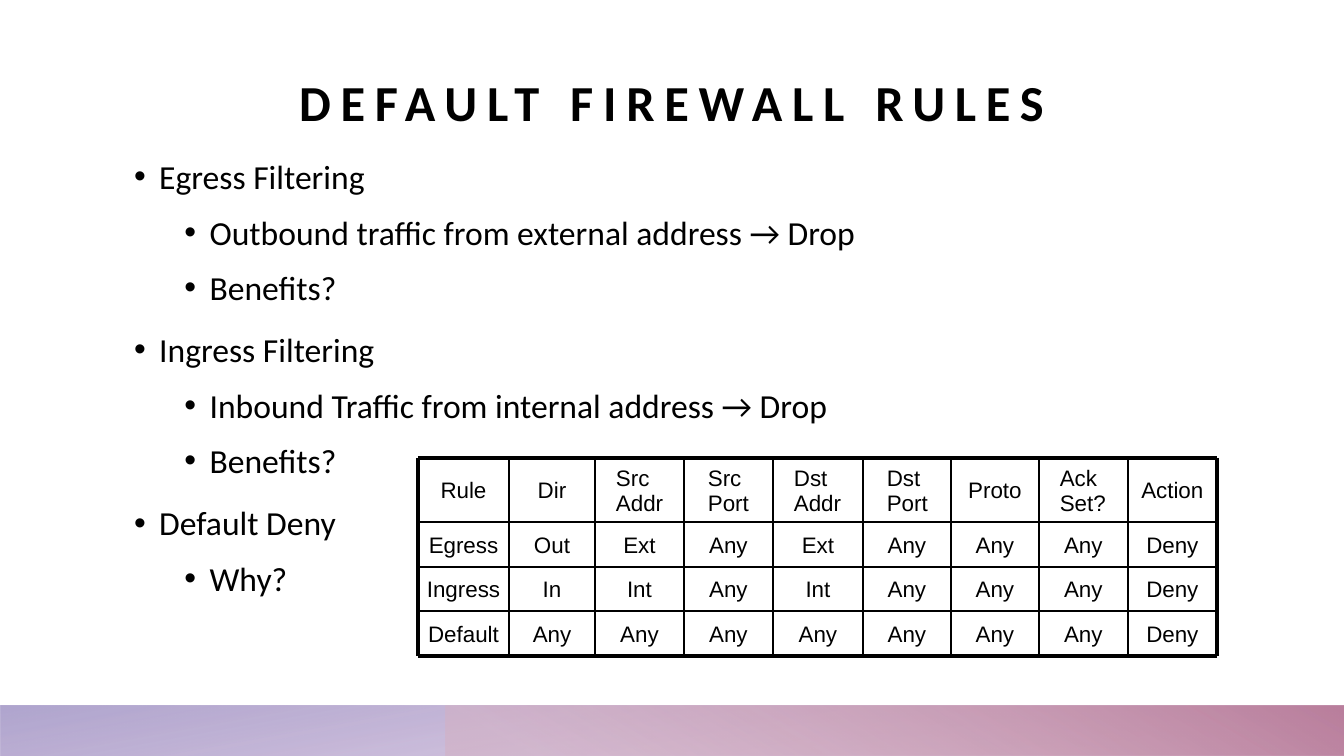
"""Build the slide on default firewall rules."""
from itertools import accumulate

from pptx import Presentation
from pptx.dml.color import RGBColor
from pptx.enum.shapes import MSO_CONNECTOR as Connector, MSO_SHAPE as Shape
from pptx.enum.text import MSO_ANCHOR as Anchor, PP_ALIGN as Align
from pptx.oxml.ns import qn
from pptx.util import Emu, Inches, Pt
from lxml.etree import SubElement

BLACK = RGBColor(0x00, 0x00, 0x00)
VIOLET = RGBColor(0xA6, 0x7F, 0xBA)
LAVENDER = RGBColor(0xA2, 0x96, 0xC6)
PINK = RGBColor(0xD6, 0xB2, 0xC4)
ROSE = RGBColor(0xBA, 0x7F, 0x9D)

TITLE = "DEFAULT FIREWALL RULES"
POINTS = [
    (0, "Egress Filtering"),
    (1, "Outbound traffic from external address → Drop"),
    (1, "Benefits?"),
    (0, "Ingress Filtering"),
    (1, "Inbound Traffic from internal address → Drop"),
    (1, "Benefits?"),
    (0, "Default Deny"),
    (1, "Why?"),
]
RULES = [
    ["Rule", "Dir", "Src Addr", "Src Port", "Dst Addr", "Dst Port", "Proto", "Ack Set?", "Action"],
    ["Egress", "Out", "Ext", "Any", "Ext", "Any", "Any", "Any", "Deny"],
    ["Ingress", "In", "Int", "Any", "Int", "Any", "Any", "Any", "Deny"],
    ["Default", "Any", "Any", "Any", "Any", "Any", "Any", "Any", "Deny"],
]
RULES_LEFT, RULES_TOP = 418, 458
COLUMN_WIDTHS = [91, 86, 89, 89, 90, 88, 88, 89, 89]
ROW_HEIGHTS = [64, 45, 44, 45]
HEADER_INDENTS = {"Addr": 21, "Port": 24, "Set?": 21}
BANDS = [
    {"box": (0, 706, 1344, 50), "rotation": 180, "angle": 100,
     "stops": [(14, VIOLET, 28), (100, LAVENDER, 85)]},
    {"box": (446, 706, 898, 50), "rotation": 0, "angle": 240,
     "stops": [(9, PINK, 55), (99, ROSE, 100)]},
]
TITLE_FONT = {"name": "Calibri", "size": Pt(36), "bold": True}
POINT_FONT = {"name": "Calibri", "size": Pt(24)}
CELL_FONT = {"name": "Arial", "size": Pt(16)}


def px(*lengths):
    """Turn pixel lengths into EMU."""
    return [Emu(round(length * Inches(1) / 100.8)) for length in lengths]


def set_all(target, values):
    """Set each attribute in values on target."""
    for name, value in values.items():
        setattr(target, name, value)


def set_font(paragraph, values):
    """Format the font of every run in a paragraph."""
    for run in paragraph.runs:
        set_all(run.font, values)
        run.font.color.rgb = BLACK


def add_band(slide, band):
    """Draw one gradient band along the foot of the slide."""
    strip = slide.shapes.add_shape(Shape.RECTANGLE, *px(*band["box"]))
    strip.shadow.inherit = False
    strip.line.fill.background()
    strip.rotation = band["rotation"]
    strip._element.spPr.xfrm.set("flipH", "1")
    strip.fill.gradient()
    strip.fill.gradient_angle = 360 - band["angle"]
    for stop, (position, color, _) in zip(strip.fill.gradient_stops, band["stops"]):
        stop.position = position / 100
        stop.color.rgb = color
    colors = strip._element.spPr.iter(qn("a:srgbClr"))
    for color, (_, _, opacity) in zip(colors, band["stops"]):
        SubElement(color, qn("a:alpha"), val=str(opacity * 1000))


def add_frame(slide, box, anchor):
    """Add a wrapping text box without insets."""
    frame = slide.shapes.add_textbox(*px(*box)).text_frame
    set_all(frame, {"word_wrap": True, "vertical_anchor": anchor, "margin_left": 0,
                    "margin_right": 0, "margin_top": 0, "margin_bottom": 0})
    return frame


def add_title(slide):
    """Write the letter-spaced title."""
    heading = add_frame(slide, (67, 30, 1210, 102), Anchor.BOTTOM).paragraphs[0]
    heading.alignment = Align.CENTER
    heading.add_run().text = TITLE
    set_font(heading, TITLE_FONT)
    heading.runs[0]._r.get_or_add_rPr().set("spc", "700")


def add_points(slide):
    """Write the two-level bullet list."""
    body = add_frame(slide, (134, 148, 1042, 333), Anchor.TOP)
    for index, (level, text) in enumerate(POINTS):
        point = body.add_paragraph() if index else body.paragraphs[0]
        set_all(point, {"level": level, "alignment": Align.JUSTIFY, "line_spacing": 1.2,
                        "space_before": Pt((10, 5)[level] if index else 0)})
        properties = point._p.get_or_add_pPr()
        properties.set("marL", str(Inches(0.25 + 0.5 * level)))
        properties.set("indent", str(-Inches(0.25)))
        SubElement(properties, qn("a:buFont"), typeface="Arial")
        SubElement(properties, qn("a:buChar"), char="•")
        point.add_run().text = text
        set_font(point, POINT_FONT)


def add_rules(slide):
    """Lay out the table of firewall rules."""
    box = RULES_LEFT, RULES_TOP, sum(COLUMN_WIDTHS), sum(ROW_HEIGHTS)
    rules = slide.shapes.add_table(len(RULES), len(RULES[0]), *px(*box)).table
    set_all(rules, {"first_row": False, "horz_banding": False})
    for column, width in zip(rules.columns, px(*COLUMN_WIDTHS)):
        column.width = width
    for row, height in zip(rules.rows, px(*ROW_HEIGHTS)):
        row.height = height
    for row, values in enumerate(RULES):
        for column, value in enumerate(values):
            cell = rules.cell(row, column)
            indent = HEADER_INDENTS.get(value.split()[-1], 0)
            set_all(cell, {"text": value, "vertical_anchor": Anchor.MIDDLE,
                           "margin_left": px(indent)[0], "margin_right": 0,
                           "margin_top": px(6)[0], "margin_bottom": px(4)[0]})
            cell.fill.background()
            label = cell.text_frame.paragraphs[0]
            label.alignment = Align.LEFT if indent else Align.CENTER
            set_font(label, CELL_FONT)


def add_grid(slide):
    """Rule the table, heavier along its outside."""
    xs = list(accumulate(COLUMN_WIDTHS, initial=RULES_LEFT))
    ys = list(accumulate(ROW_HEIGHTS, initial=RULES_TOP))
    left, right, top, bottom = xs[0], xs[-1], ys[0], ys[-1]
    across = [((left, y, right, y), y in (top, bottom)) for y in ys]
    down = [((x, top, x, bottom), x in (left, right)) for x in xs]
    for ends, outer in across + down:
        rule = slide.shapes.add_connector(Connector.STRAIGHT, *px(*ends))
        rule.line.color.rgb = BLACK
        rule.line.width = Pt(2.25 if outer else 1)
        SubElement(rule._element.spPr, qn("a:effectLst"))


def main():
    """Assemble and save the slide."""
    deck = Presentation()
    deck.slide_width, deck.slide_height = px(1344, 756)
    slide = deck.slides.add_slide(deck.slide_layouts[6])
    for band in BANDS:
        add_band(slide, band)
    add_title(slide)
    add_points(slide)
    add_rules(slide)
    add_grid(slide)
    deck.save("out.pptx")


if __name__ == "__main__":
    main()
